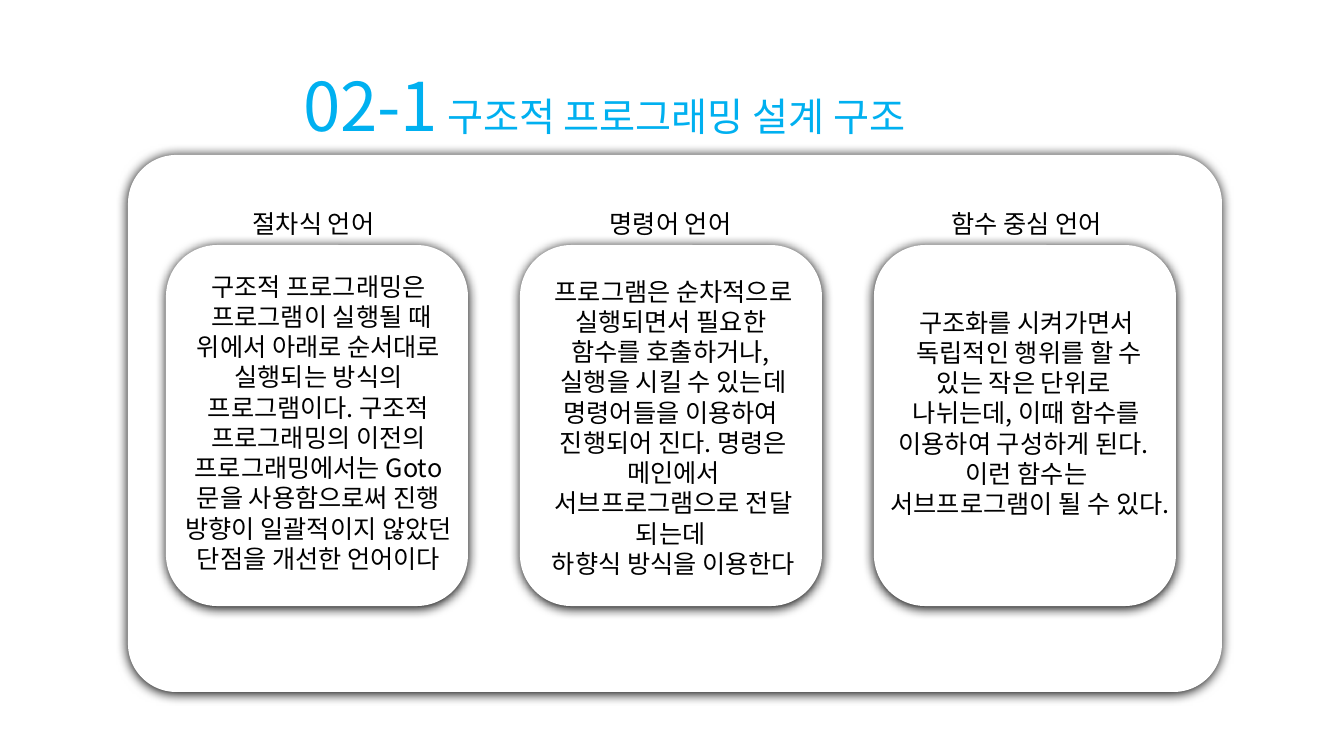
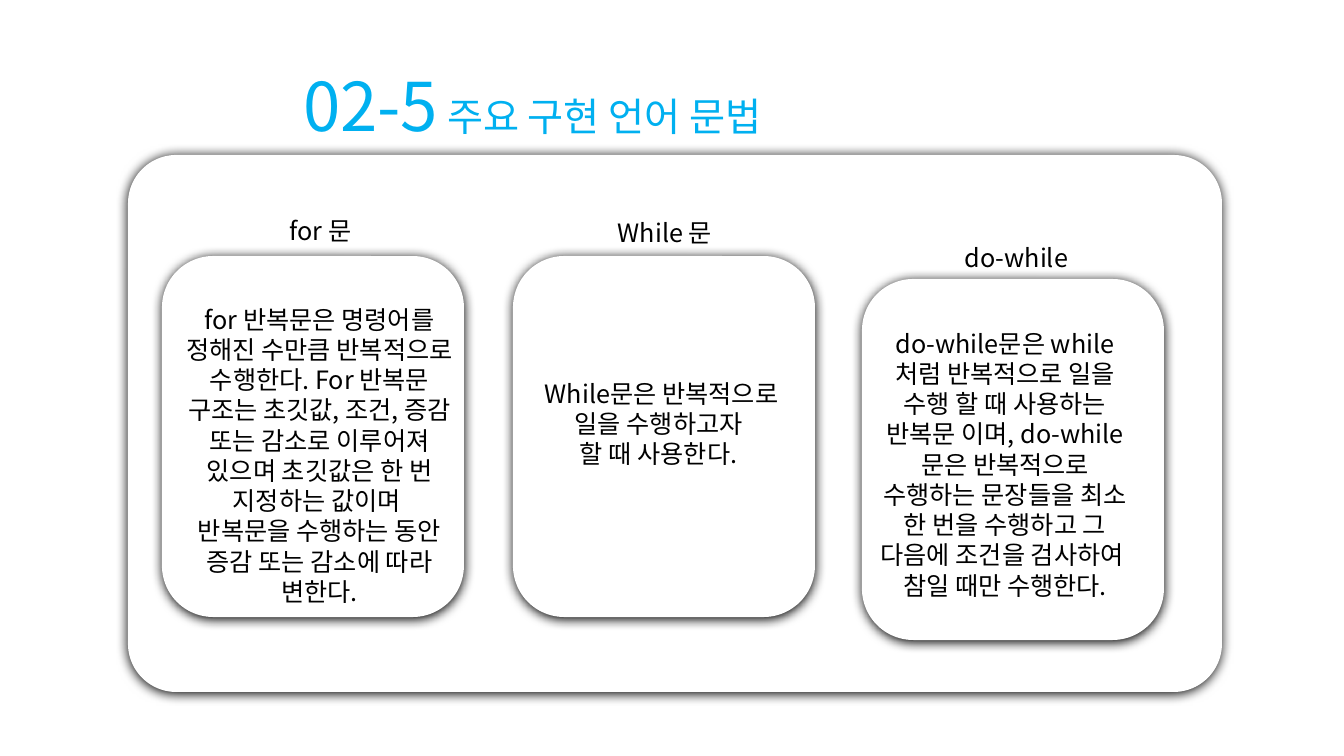
from dataclasses import dataclass

from lxml import etree
from pptx import Presentation
from pptx.dml.color import RGBColor
from pptx.enum.shapes import MSO_SHAPE
from pptx.enum.text import MSO_ANCHOR, MSO_AUTO_SIZE, PP_ALIGN
from pptx.oxml.ns import qn
from pptx.util import Emu, Pt

ROUNDED = MSO_SHAPE.ROUNDED_RECTANGLE
TOP = MSO_ANCHOR.TOP
GROW, FIXED = MSO_AUTO_SIZE.SHAPE_TO_FIT_TEXT, MSO_AUTO_SIZE.NONE
LEFT, CENTER = PP_ALIGN.LEFT, PP_ALIGN.CENTER
TITLE_ONLY = 5


@dataclass(frozen=True)
class Theme:
    font: str = "Noto Sans CJK KR"
    accent: RGBColor = RGBColor(0x00, 0xB0, 0xF0)
    ink: RGBColor = RGBColor(0x00, 0x00, 0x00)
    paper: RGBColor = RGBColor(0xFF, 0xFF, 0xFF)
    number_size: Pt = Pt(48)
    title_size: Pt = Pt(28)
    text_size: Pt = Pt(18)
    shadow_blur: Pt = Pt(8.5)
    shadow_distance: Pt = Pt(1)


THEME = Theme()
PX = 914400 / 100.8

# Lengths in px
PAGE_WIDTH, PAGE_HEIGHT = 1344, 756
TITLE_AREA = (293, 59, 760, 92)
PANEL_AREA = (128, 155, 1094, 537)
CARD_WIDTH, CARD_HEIGHT = 302, 361
LABEL_HEIGHT = 40

# Each column: card (left, top), label and its (left, top, width),
# paragraphs and their (left, top, width, height)
PAGES = [
    ("02-1", " 구조적 프로그래밍 설계 구조", [
        ((166, 245), "절차식 언어", (225, 203, 177), [
            "구조적 프로그래밍은",
            " 프로그램이 실행될 때 위에서 아래로 순서대로 실행되는 방식의 "
            "프로그램이다. 구조적 프로그래밍의 이전의 프로그래밍에서는 "
            "Goto문을 사용함으로써 진행 방향이 일괄적이지 않았던 단점을 "
            "개선한 언어이다",
        ], (170, 266, 297, 316)),
        ((520, 245), "명령어 언어", (582, 203, 177), [
            "프로그램은 순차적으로 실행되면서 필요한 ",
            "함수를 호출하거나, ",
            "실행을 시킬 수 있는데 명령어들을 이용하여 ",
            "진행되어 진다. 명령은 메인에서 서브프로그램으로 전달 되는데 ",
            "하향식 방식을 이용한다",
        ], (525, 271, 297, 285)),
        ((874, 245), "함수 중심 언어", (927, 203, 200), [
            "구조화를 시켜가면서",
            " 독립적인 행위를 할 수 있는 작은 단위로 ",
            "나뉘는데, 이때 함수를 이용하여 구성하게 된다. ",
            "이런 함수는 서브프로그램이 될 수 있다.",
        ], (878, 302, 297, 224)),
    ]),
    ("02-5", " 주요 구현 언어 문법", [
        ((162, 256), "for 문", (247, 210, 147), [
            "for 반복문은 명령어를 정해진 수만큼 반복적으로 수행한다. "
            "For 반복문 구조는 초깃값, 조건, 증감 또는 감소로 이루어져 "
            "있으며 초깃값은 한 번 지정하는 값이며 ",
            "반복문을 수행하는 동안 증감 또는 감소에 따라 변한다.",
        ], (171, 299, 297, 316)),
        ((513, 256), "While 문", (599, 212, 132), [
            "While문은 반복적으로 일을 수행하고자 ",
            "할 때 사용한다. ",
        ], (513, 373, 297, 102)),
        ((862, 279), "do-while", (912, 237, 209), [
            "do-while문은 while 처럼 반복적으로 일을 수행 할 때 사용하는 "
            "반복문 이며, do-while문은 반복적으로 수행하는 문장들을 최소 "
            "한 번을 수행하고 그 다음에 조건을 검사하여 ",
            "참일 때만 수행한다.",
        ], (865, 323, 280, 285)),
    ]),
]


def add_card(page, area, corner):
    """White rounded card with a soft shadow."""
    card = page.shapes.add_shape(ROUNDED, *(Emu(round(n * PX)) for n in area))
    card.adjustments[0] = corner
    card.fill.solid()
    card.fill.fore_color.rgb = THEME.paper
    card.line.fill.background()
    card.shadow.inherit = False
    effects = card._element.spPr.find(qn("a:effectLst"))
    shadow = etree.SubElement(
        effects, qn("a:outerShdw"), blurRad=str(int(THEME.shadow_blur)),
        dist=str(int(THEME.shadow_distance)), dir="5400000", rotWithShape="0")
    etree.SubElement(shadow, qn("a:srgbClr"), val="000000")


def write_text(box, area, paragraphs, color, align, fit):
    """Place a box and fill it; each paragraph is a list of (text, size)."""
    box.left, box.top, box.width, box.height = (
        Emu(round(n * PX)) for n in area)
    frame = box.text_frame
    frame.word_wrap = True
    frame.auto_size = fit
    frame.vertical_anchor = TOP
    for index, spans in enumerate(paragraphs):
        para = frame.add_paragraph() if index else frame.paragraphs[0]
        para.alignment = align
        para.font.name = THEME.font
        para.font.color.rgb = color
        defaults = para._p.pPr.find(qn("a:defRPr"))
        etree.SubElement(defaults, qn("a:ea"), typeface=THEME.font)
        if len(spans) == 1:
            para.font.size = spans[0][1]
        for text, size in spans:
            span = para.add_run()
            span.text = text
            if len(spans) > 1:
                span.font.size = size


deck = Presentation()
deck.slide_width = Emu(round(PAGE_WIDTH * PX))
deck.slide_height = Emu(round(PAGE_HEIGHT * PX))

for number, heading, columns in PAGES:
    page = deck.slides.add_slide(deck.slide_layouts[TITLE_ONLY])

    # Title
    title = [(number, THEME.number_size), (heading, THEME.title_size)]
    write_text(page.shapes.title, TITLE_AREA, [title], THEME.accent, LEFT, FIXED)

    # Panel behind the columns
    add_card(page, PANEL_AREA, 0.09)

    # Three columns: card, label above it, text inside it
    for corner_point, label, label_area, lines, text_area in columns:
        add_card(page, (*corner_point, CARD_WIDTH, CARD_HEIGHT), 0.17)
        for area, texts in (((*label_area, LABEL_HEIGHT), [label]),
                            (text_area, lines)):
            box = page.shapes.add_textbox(0, 0, 0, 0)
            paragraphs = [[(text, THEME.text_size)] for text in texts]
            write_text(box, area, paragraphs, THEME.ink, CENTER, GROW)

deck.save("out.pptx")
